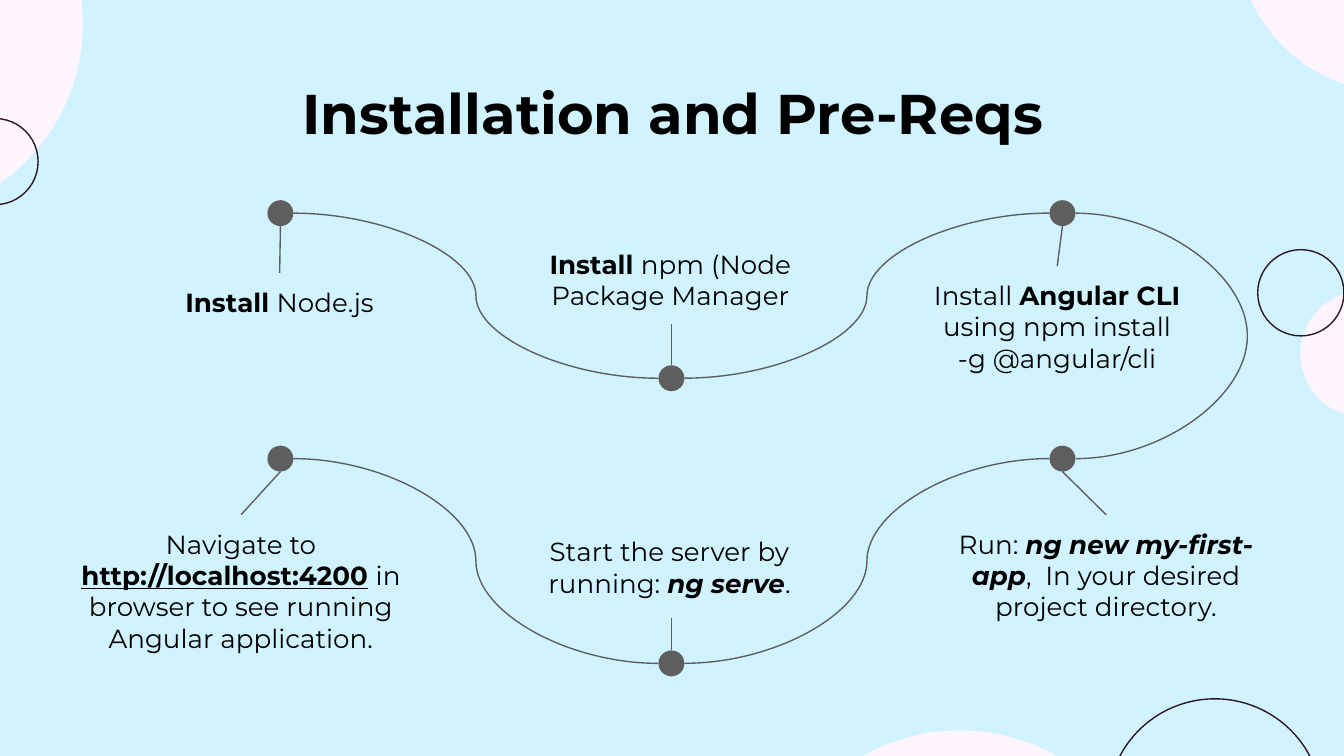
from dataclasses import dataclass

from lxml import etree
from pptx import Presentation
from pptx.dml.color import RGBColor
from pptx.enum.shapes import MSO_CONNECTOR as LINK, MSO_SHAPE as SHAPE
from pptx.enum.text import MSO_ANCHOR as ANCHOR, MSO_AUTO_SIZE as AUTO_SIZE, PP_ALIGN as ALIGN
from pptx.oxml.ns import qn
from pptx.util import Cm, Pt

COLORS = {"sky": "D1F3FF", "blush": "FFF5FE", "plum": "2C1426",
          "road": "5E5E5E", "text": "000000"}
FONT = "Montserrat"
DOT = 0.49
COLUMNS = [5.3 + 7.39 * i for i in range(3)]
# Height of the outer dots and of the middle dot in each row
ROWS = [(4.03, 7.15), (8.67, 12.54)]
BEND = 3.25

# left, top, diameter, filled
BUBBLES = [
    (-5.77, -3.2, 7.32, True),
    (23.39, -4.17, 5.89, True),
    (20.93, 13.21, 4.06, False),
    (24.59, 5.51, 2.36, True),
    (14.48, 13.82, 7.32, True),
    (23.77, 4.72, 1.63, False),
    (-0.91, 2.24, 1.63, False),
]


@dataclass
class Step:
    column: int
    row: int
    frame: tuple  # left, top, width, height
    spans: list   # text, style letters: b, i, u
    gap: float = 0


STEPS = [
    Step(0, 0, (1.73, 5.16, 7.11, 2.24), [("Install ", "b"), ("Node.js", "")]),
    Step(1, 0, (10.13, 3.89, 5.08, 2.24),
         [("Install ", "b"), ("npm (Node Package Manager", "")]),
    Step(2, 0, (17.35, 5.03, 5.26, 2.24),
         [("Install ", ""), ("Angular CLI", "b"),
          (" using npm install -g @angular/cli", "")]),
    Step(0, 1, (1.14, 9.73, 6.83, 2.82),
         [("Navigate to ", ""), ("http://localhost:4200", "bu"), (" ", "b"),
          ("in browser to see running Angular application.", "")]),
    Step(1, 1, (9.63, 9.32, 6.05, 2.24),
         [("Start the server by running: ", ""), ("ng serve", "bi"), (".", "")], 0.13),
    Step(2, 1, (17.35, 9.73, 7.11, 2.57),
         [("Run: ", ""), ("ng new my-first-app", "bi"),
          (",  In your desired project directory.", "")]),
]


def color(name):
    return RGBColor.from_string(COLORS[name])


def add_circle(page, left, top, size, fill=None, line=None):
    circle = page.shapes.add_shape(SHAPE.OVAL, Cm(left), Cm(top), Cm(size), Cm(size))
    circle.shadow.inherit = False
    if fill:
        circle.fill.solid()
        circle.fill.fore_color.rgb = color(fill)
    else:
        circle.fill.background()
    if line:
        circle.line.color.rgb = color(line)
        circle.line.width = Pt(0.75)
    else:
        circle.line.fill.background()


def add_link(page, kind, start, end):
    link = page.shapes.add_connector(kind, *map(Cm, start + end))
    link.line.color.rgb = color("road")
    link.line.width = Pt(0.75)
    etree.SubElement(link._element.spPr, qn("a:effectLst"))
    return link


def add_turn(page, x, top, bottom):
    """Join two rows by a curve that swings out to the right."""
    width = 0.01
    link = add_link(page, LINK.CURVE, (x, top), (x + width, bottom))
    guides = link._element.spPr.find(qn("a:prstGeom")).get_or_add_avLst()
    ratio = round(BEND / width * 100000)
    etree.SubElement(guides, qn("a:gd"), name="adj1", fmla=f"val {ratio}")


def write_text(box, spans, size, anchor=ANCHOR.TOP):
    frame = box.text_frame
    frame.word_wrap = True
    frame.auto_size = AUTO_SIZE.NONE
    frame.vertical_anchor = anchor
    frame.margin_left = frame.margin_right = Cm(0.25)
    frame.margin_top = frame.margin_bottom = Cm(0.25)
    para = frame.paragraphs[0]
    para.alignment = ALIGN.CENTER
    for text, style in spans:
        span = para.add_run()
        span.text = text
        font = span.font
        font.name, font.size = FONT, Pt(size)
        font.color.rgb = color("text")
        font.bold = "b" in style
        font.italic = "i" in style
        font.underline = "u" in style


def add_title(page, text):
    title = page.shapes.title
    title.left, title.top, title.width, title.height = map(Cm, (2.01, 1.24, 21.41, 1.6))
    write_text(title, [(text, "b")], 30)


def add_road(page):
    left, middle, right = COLUMNS
    radius = DOT / 2
    for outer, inner in ROWS:
        add_link(page, LINK.CURVE, (left + radius, outer), (middle - radius, inner))
        add_link(page, LINK.CURVE, (middle + radius, inner), (right - radius, outer))
    add_turn(page, right + radius, ROWS[0][0], ROWS[1][0])


def add_step(page, step):
    """Add a dot, its text and the stem from the dot to the text."""
    is_middle = step.column == 1
    x, y = COLUMNS[step.column], ROWS[step.row][is_middle]
    left, top, width, height = step.frame
    add_circle(page, x - DOT / 2, y - DOT / 2, DOT, fill="road")
    box = page.shapes.add_textbox(*map(Cm, step.frame))
    write_text(box, step.spans, 14, ANCHOR.BOTTOM if is_middle else ANCHOR.TOP)
    if is_middle:
        start, end = (x, y - DOT / 2), (x, top + height + step.gap)
    else:
        start, end = (x, y + DOT / 2), (left + width / 2, top)
    add_link(page, LINK.STRAIGHT, start, end)


def main():
    deck = Presentation()
    deck.slide_width, deck.slide_height = Cm(25.4), Cm(14.29)
    page = deck.slides.add_slide(deck.slide_layouts[5])
    page.background.fill.solid()
    page.background.fill.fore_color.rgb = color("sky")
    for left, top, size, filled in BUBBLES:
        add_circle(page, left, top, size, "blush" if filled else None,
                   "blush" if filled else "plum")
    add_title(page, "Installation and Pre-Reqs")
    for step in STEPS:
        add_step(page, step)
    add_road(page)
    deck.save("out.pptx")


if __name__ == "__main__":
    main()
